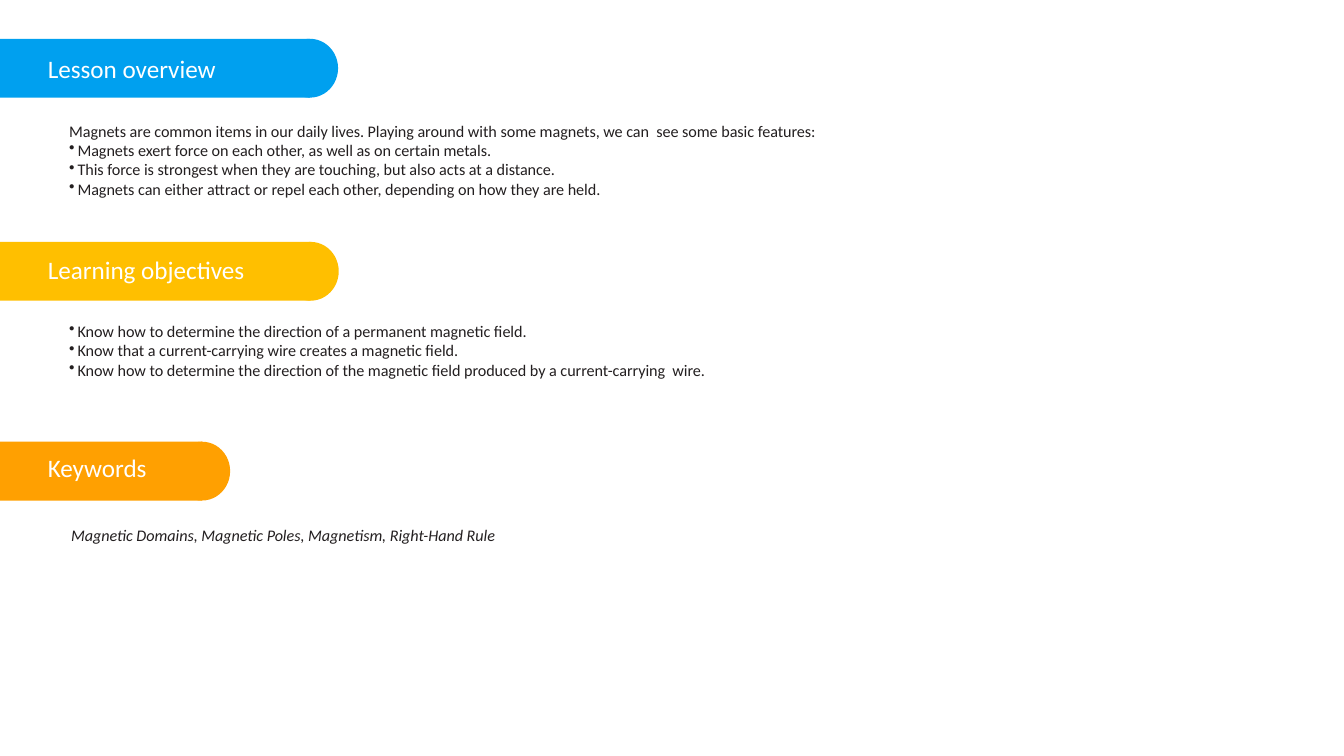
from lxml import etree
from pptx import Presentation
from pptx.dml.color import RGBColor
from pptx.enum.shapes import MSO_SHAPE
from pptx.oxml.ns import qn
from pptx.util import Inches, Pt

RECTANGLE = MSO_SHAPE.RECTANGLE
OVAL = MSO_SHAPE.OVAL

SLIDE_W, SLIDE_H = 20.79, 11.69
FONT = "Calibri"
INK, WHITE = "231F20", "FFFFFF"
BANNER_H, CAP_W = 0.91, 0.87
HEADING_LEFT = 0.73

# Banner: top, right tip, colour. Heading and body: box as (left, top, width, height).
SECTIONS = [
    {
        "heading": "Lesson overview", "heading_top": 0.81,
        "banner": (0.6, 5.23, "00A0EF"),
        "body_box": (1.06, 1.85, 18.83, 1.23),
        "intro": ["Magnets are common items in our daily lives. Playing around with "
                  "some magnets, we can  see some basic features:"],
        "bullets": [
            "Magnets exert force on each other, as well as on certain metals.",
            "This force is strongest when they are touching, but also acts at a distance.",
            "Magnets can either attract or repel each other, depending on how they are held.",
        ],
    },
    {
        "heading": "Learning objectives", "heading_top": 3.92,
        "banner": (3.74, 5.24, "FFBF00"),
        "body_box": (1.06, 4.95, 10, 0.92),
        "intro": [],
        "bullets": [
            "Know how to determine the direction of a permanent magnetic field.",
            "Know that a current-carrying wire creates a magnetic field.",
            "Know how to determine the direction of the magnetic field produced by "
            "a current-carrying  wire.",
        ],
    },
    {
        "heading": "Keywords", "heading_top": 6.98,
        "banner": (6.83, 3.56, "FFA001"),
        "body_box": (1.09, 8.1, 8.2, 0.31),
        "intro": ["Magnetic Domains, Magnetic Poles, Magnetism, Right-Hand Rule"],
        "bullets": [],
        "italic": True,
    },
]


def rgb(colour):
    return RGBColor.from_string(colour)


def add_part(slide, kind, box, colour):
    part = slide.shapes.add_shape(kind, *map(Inches, box))
    part.shadow.inherit = False
    part.fill.solid()
    part.fill.fore_color.rgb = rgb(colour)
    part.line.fill.background()


def add_banner(slide, top, tip, colour):
    """Bar from the slide's left edge with a round cap ending at tip."""
    add_part(slide, RECTANGLE, (0, top, tip - CAP_W / 2, BANNER_H), colour)
    add_part(slide, OVAL, (tip - CAP_W, top, CAP_W, BANNER_H), colour)


def add_text(slide, box, plain, bullets=(), size=18, colour=INK, italic=False,
             tracking=-5):
    """Plain paragraphs, then bulleted ones; tracking is in 1/100 point."""
    frame = slide.shapes.add_textbox(*map(Inches, box)).text_frame
    frame.word_wrap = True
    frame.margin_left = frame.margin_right = frame.margin_bottom = 0
    frame.margin_top = Inches(0.02)
    lines = [(line, False) for line in plain] + [(line, True) for line in bullets]
    for index, (line, bulleted) in enumerate(lines):
        paragraph = frame.add_paragraph() if index else frame.paragraphs[0]
        properties = paragraph._p.get_or_add_pPr()
        properties.set("marL", str(Inches(0.14 if bulleted else 0.01)))
        properties.set("indent", str(Inches(-0.13 if bulleted else 0)))
        if bulleted:
            etree.SubElement(properties, qn("a:buChar")).set("char", "•")
        run = paragraph.add_run()
        run.text = line
        run.font.name = FONT
        run.font.size = Pt(size)
        run.font.italic = italic
        run.font.color.rgb = rgb(colour)
        run._r.get_or_add_rPr().set("spc", str(tracking))


def main():
    deck = Presentation()
    deck.slide_width, deck.slide_height = Inches(SLIDE_W), Inches(SLIDE_H)
    slide = deck.slides.add_slide(deck.slide_layouts[6])
    for section in SECTIONS:
        add_banner(slide, *section["banner"])
        add_text(slide, (HEADING_LEFT, section["heading_top"], 4, 0.49),
                 [section["heading"]], size=28, colour=WHITE, tracking=0)
        add_text(slide, section["body_box"], section["intro"], section["bullets"],
                 italic=section.get("italic", False))
    deck.save("out.pptx")


if __name__ == "__main__":
    main()
